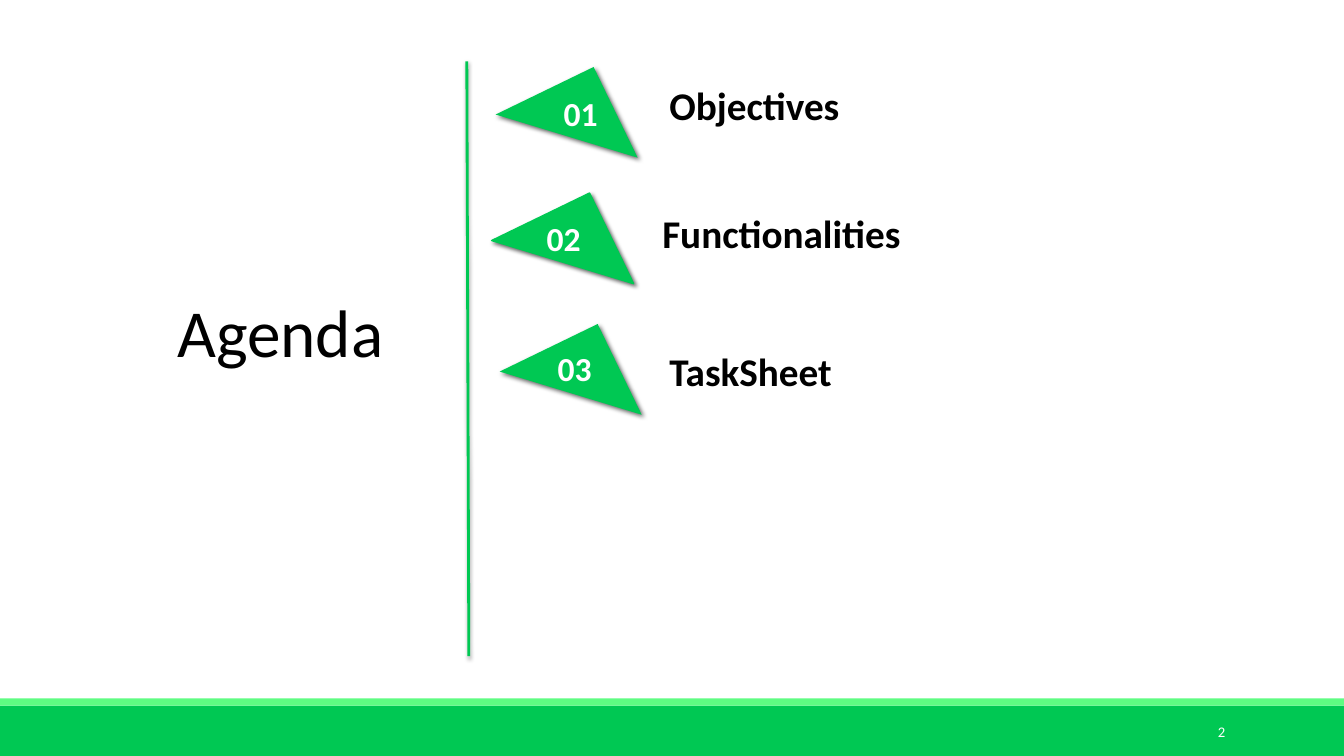
import pptx
import pptx.util
import pptx.dml.color
import pptx.enum.shapes
import pptx.enum.text
import pptx.oxml
import pptx.oxml.ns

PX = 9144
GREEN = pptx.dml.color.RGBColor(0x00, 0xC8, 0x53)
LIGHT_GREEN = pptx.dml.color.RGBColor(0x5E, 0xFC, 0x82)
BLACK = pptx.dml.color.RGBColor(0, 0, 0)
WHITE = pptx.dml.color.RGBColor(255, 255, 255)
ALIGN = pptx.enum.text.PP_ALIGN
ANCHOR = pptx.enum.text.MSO_ANCHOR
SHAPE = pptx.enum.shapes.MSO_SHAPE

TITLE = {"size": pptx.util.Pt(48), "bold": False}
TOPIC = {"size": pptx.util.Pt(28), "bold": True}
NUMBER = {"size": pptx.util.Pt(24), "bold": True}
PAGE = {"size": pptx.util.Pt(10.5), "bold": False}


def px(*lengths):
    """Turn whole px lengths into EMU."""
    return [pptx.util.Emu(length * PX) for length in lengths]


def add_text(slide, box, wording, style, color=BLACK, align=ALIGN.LEFT,
             anchor=ANCHOR.TOP, wrap=True):
    """Place one line of styled text in a box."""
    frame = slide.shapes.add_textbox(*px(*box)).text_frame
    frame.word_wrap = wrap
    frame.vertical_anchor = anchor
    line = frame.paragraphs[0]
    line.alignment = align
    run = line.add_run()
    run.text = wording
    for key, value in {"name": "Calibri", **style}.items():
        setattr(run.font, key, value)
    run.font.color.rgb = color


def add_filled(slide, kind, box, color):
    """Place a flat shape without outline or shadow."""
    shape = slide.shapes.add_shape(kind, *px(*box))
    shape.shadow.inherit = False
    shape.fill.solid()
    shape.fill.fore_color.rgb = color
    shape.line.fill.background()
    return shape


def cast_shadow(shape, opacity, blur, distance, angle):
    """Give a shape or connector a soft black outer shadow."""
    properties = shape._element.spPr
    for effects in properties.findall(pptx.oxml.ns.qn("a:effectLst")):
        properties.remove(effects)
    properties.append(pptx.oxml.parse_xml(
        f'<a:effectLst {pptx.oxml.ns.nsdecls("a")}>'
        f'<a:outerShdw blurRad="{pptx.util.Pt(blur)}" dist="{pptx.util.Pt(distance)}" '
        f'dir="{angle * 60000}" algn="ctr" rotWithShape="0">'
        f'<a:srgbClr val="000000"><a:alpha val="{opacity * 1000}"/></a:srgbClr>'
        '</a:outerShdw></a:effectLst>'))


def add_footer(slide, left, top, width, height):
    """Draw the two-tone footer and its page number."""
    stripe = 7
    add_filled(slide, SHAPE.RECTANGLE, (left, top + stripe, width, height - stripe), GREEN)
    add_filled(slide, SHAPE.RECTANGLE, (left, top, width, stripe), LIGHT_GREEN)
    add_text(slide, (left + width - 251, top + 13, 143, 40), "2", PAGE, WHITE,
             ALIGN.RIGHT, ANCHOR.MIDDLE)


def add_heading(slide, left, top, width, height):
    """Draw the slide title and the divider to its right."""
    add_text(slide, (left, top + 222, width, 91), "Agenda", TITLE)
    divider = slide.shapes.add_connector(
        pptx.enum.shapes.MSO_CONNECTOR.STRAIGHT,
        *px(left + 297, top, left + 299, top + height))
    divider.line.color.rgb = GREEN
    divider.line.width = pptx.util.Pt(2)
    cast_shadow(divider, 37, 3.1, 1.6, 90)


def add_topic(slide, left, top, number, number_at, topic, topic_box, outline):
    """Draw one agenda entry: tilted triangle, number and topic."""
    marker = add_filled(slide, SHAPE.RIGHT_TRIANGLE, (left, top, 108, 100), GREEN)
    marker.rotation = 154.1
    if outline:
        marker.line.color.rgb = GREEN
        marker.line.width = pptx.util.Pt(outline)
    cast_shadow(marker, 60, 3 if outline else 3.5, 2, 45)
    number_x, number_y = number_at
    add_text(slide, (left + number_x, top + number_y, 54, 50), number, NUMBER, WHITE,
             ALIGN.CENTER, wrap=False)
    topic_x, topic_y, topic_width = topic_box
    add_text(slide, (left + topic_x, top + topic_y, topic_width, 57), topic, TOPIC)


def main():
    """Build the agenda slide."""
    deck = pptx.Presentation()
    deck.slide_width, deck.slide_height = px(1333, 750)
    agenda = deck.slides.add_slide(deck.slide_layouts[6])
    add_footer(agenda, 0, 693, 1333, 57)
    add_heading(agenda, 166, 61, 383, 590)
    topics = (
        (508, 85, "01", (41, 2), "Objectives", (146, -9, 278), 0),
        (504, 210, "02", (28, 1), "Functionalities", (143, -7, 482), 1),
        (512, 340, "03", (31, 0), "TaskSheet", (142, 0, 191), 0),
    )
    for topic in topics:
        add_topic(agenda, *topic)
    deck.save("out.pptx")


if __name__ == "__main__":
    main()
